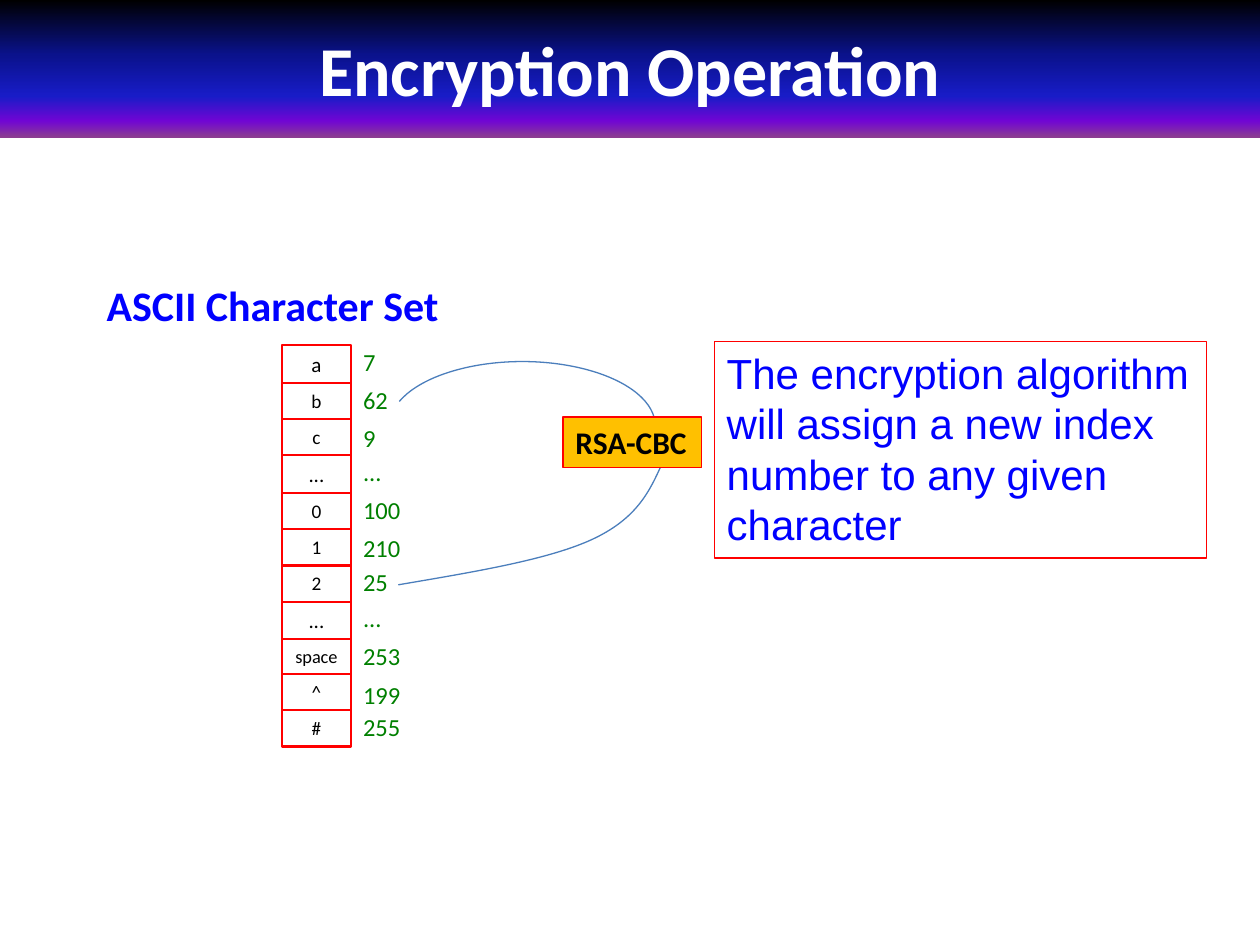
import pptx
import pptx.util
import pptx.dml.color
import pptx.enum.shapes
import pptx.enum.text
import pptx.oxml
import pptx.oxml.ns

Cm = pptx.util.Cm
Pt = pptx.util.Pt
RGB = pptx.dml.color.RGBColor
SHAPE = pptx.enum.shapes.MSO_SHAPE
ALIGN = pptx.enum.text.PP_ALIGN
ANCHOR = pptx.enum.text.MSO_ANCHOR
FIT = pptx.enum.text.MSO_AUTO_SIZE
qn = pptx.oxml.ns.qn

BLACK = RGB(0, 0, 0)
WHITE = RGB(255, 255, 255)
RED = RGB(255, 0, 0)
BLUE = RGB(0, 0, 255)
GREEN = RGB(0, 128, 0)
GOLD = RGB(0xFF, 0xC0, 0)
STEEL = RGB(0x4B, 0x7E, 0xBC)
BANNER = [
    (0, BLACK),
    (40, RGB(0x0A, 0x12, 0x8C)),
    (70, RGB(0x18, 0x1C, 0xC7)),
    (88, RGB(0x70, 0x05, 0xD4)),
    (100, RGB(0x8C, 0x3D, 0x91)),
]

# character, its text size, new index, drop of the index below its usual place
ROWS = [
    ("a", 12, "7", 0), ("b", 11, "62", 0), ("c", 11, "9", 0.05),
    ("...", 12, "...", 0), ("0", 11, "100", 0), ("1", 11, "210", 0.05),
    ("2", 11, "25", 0), ("...", 12, "...", 0), ("space", 10.5, "253", 0),
    ("^", 11, "199", 0.08), ("#", 11, "255", 0),
]
HEIGHTS = {12: 0.76, 11: 0.73, 10.5: 0.7}
WIDTHS = {"7": 0.76, "9": 0.76, "62": 1.02, "25": 1.02, "...": 0.89}


def write(shape, text, size, color, font="Calibri", bold=False,
          align=ALIGN.LEFT, wrap=True):
    frame = shape.text_frame
    frame.text = text
    frame.word_wrap = wrap
    frame.auto_size = FIT.SHAPE_TO_FIT_TEXT
    frame.vertical_anchor = ANCHOR.TOP
    para = frame.paragraphs[0]
    para.alignment = align
    face = para.runs[0].font
    face.size = Pt(size)
    face.name = font
    face.bold = bold
    face.color.rgb = color


def outline(shape, color, width, fill=None):
    shape.shadow.inherit = False
    if fill is None:
        shape.fill.background()
    else:
        shape.fill.solid()
        shape.fill.fore_color.rgb = fill
    shape.line.color.rgb = color
    shape.line.width = Pt(width)


def add_box(slide, place, width, fill=None):
    box = slide.shapes.add_shape(SHAPE.RECTANGLE, *map(Cm, place))
    outline(box, RED, width, fill)
    return box


def add_label(slide, place, text, size, color, bold=False):
    label = slide.shapes.add_textbox(*map(Cm, place))
    write(label, text, size, color, bold=bold, wrap=False)


def add_title(slide, text):
    title = slide.shapes.title
    title.left, title.top, title.width, title.height = map(Cm, (0, 0, 25.4, 2.77))
    write(title, text, 40, WHITE, bold=True, align=ALIGN.CENTER)
    title.text_frame.auto_size = FIT.NONE
    title.text_frame.vertical_anchor = ANCHOR.MIDDLE
    title.fill.gradient()
    grad = title.fill._xPr.find(qn("a:gradFill"))
    stops = grad.find(qn("a:gsLst"))
    for stop in list(stops):
        stops.remove(stop)
    for part, color in BANNER:
        stop = pptx.oxml.parse_xml(
            f'<a:gs {pptx.oxml.ns.nsdecls("a")} pos="{part * 1000}">'
            f'<a:srgbClr val="{color}"/></a:gs>')
        stops.append(stop)
    grad.find(qn("a:lin")).set("ang", "5400000")


def add_curve(slide, points):
    """Draw cubic curves: a start, then two controls and an end for each."""
    spots = [(Cm(x), Cm(y)) for x, y in points]
    form = slide.shapes.build_freeform(*spots[0])
    form.add_line_segments(spots[1:], close=False)
    curve = form.convert_to_shape()
    outline(curve, STEEL, 0.75)
    lines = list(curve._element.iter(qn("a:lnTo")))
    for first in range(0, len(lines), 3):
        bend = pptx.oxml.parse_xml(
            f'<a:cubicBezTo {pptx.oxml.ns.nsdecls("a")}/>')
        lines[first].addprevious(bend)
        for line in lines[first:first + 3]:
            bend.append(line[0])
            line.getparent().remove(line)


def add_rows(slide):
    top = 6.96
    for char, size, index, drop in ROWS:
        height = HEIGHTS[size]
        cell = add_box(slide, (5.68, top, 1.4, height), 1.25)
        write(cell, char, size, BLACK, align=ALIGN.CENTER)
        place = (7.07, top - 0.09 + drop, WIDTHS.get(index, 1.27), 0.86)
        add_label(slide, place, index, 14, GREEN)
        top += height


def add_arc(slide):
    arc = slide.shapes.add_shape(
        SHAPE.ARC, Cm(7.85), Cm(7.29), Cm(5.36), Cm(2.59))
    arc.adjustments[0] = 114.72
    arc.adjustments[1] = 0
    outline(arc, STEEL, 0.75)


def main():
    deck = pptx.Presentation()
    deck.slide_width, deck.slide_height = Cm(25.4), Cm(19.05)
    slide = deck.slides.add_slide(deck.slide_layouts[5])
    add_title(slide, "Encryption Operation")
    add_label(slide, (1.9, 5.51, 7.29, 1.27), "ASCII Character Set", 24, BLUE, True)
    add_rows(slide)
    add_arc(slide)
    add_curve(slide, [(13.39, 9.25), (13.13, 9.83), (12.9, 10.41), (11.99, 10.85),
                      (11.1, 11.28), (9.55, 11.53), (8.03, 11.79)])
    cipher = add_box(slide, (11.35, 8.41, 2.79, 1.02), 0.75, GOLD)
    write(cipher, "RSA-CBC", 18, BLACK, bold=True, wrap=False)
    note = add_box(slide, (14.4, 6.88, 9.93, 4.37), 0.75)
    write(note, "The encryption algorithm will assign a new index number "
          "to any given character", 24, BLUE, "Arial")
    deck.save("out.pptx")


if __name__ == "__main__":
    main()
